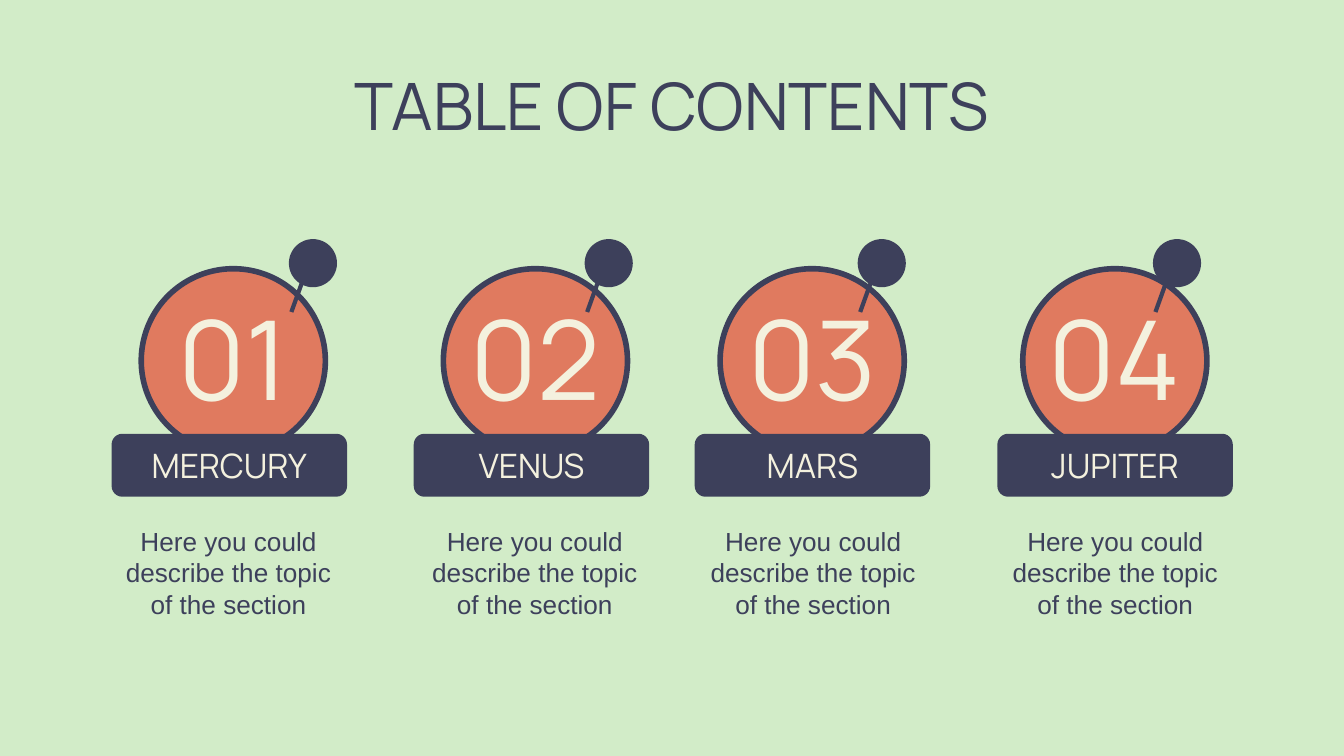
import pptx
import pptx.util
import pptx.dml.color
import pptx.enum.shapes
import pptx.enum.text

Cm = pptx.util.Cm
Pt = pptx.util.Pt
Shape = pptx.enum.shapes.MSO_SHAPE
Anchor = pptx.enum.text.MSO_ANCHOR

NAVY, ORANGE, CREAM, GREEN = "3D405B", "E07A5F", "F4F1DE", "D2ECC8"


def paint(target, color):
    """Fill a shape or background with a solid colour."""
    target.fill.solid()
    target.fill.fore_color.rgb = pptx.dml.color.RGBColor.from_string(color)


def write(box, text, size, font, color, anchor):
    """Put one centred paragraph into a box without margins."""
    frame = box.text_frame
    frame.word_wrap = True
    frame.auto_size = pptx.enum.text.MSO_AUTO_SIZE.NONE
    frame.vertical_anchor = anchor
    frame.margin_left = frame.margin_right = frame.margin_top = frame.margin_bottom = 0
    para = frame.paragraphs[0]
    para.text = text
    para.alignment = pptx.enum.text.PP_ALIGN.CENTER
    para.font.size = Pt(size)
    para.font.name = font
    para.font.color.rgb = pptx.dml.color.RGBColor.from_string(color)


deck = pptx.Presentation()
deck.slide_width, deck.slide_height = Cm(25.4), Cm(14.29)
page = deck.slides.add_slide(deck.slide_layouts[5])
paint(page.background, GREEN)

# Title
title = page.shapes.title
title.left, title.top, title.width, title.height = Cm(1.98), Cm(1.24), Cm(21.44), Cm(1.6)
write(title, "TABLE OF CONTENTS", 35, "Manrope", NAVY, Anchor.TOP)

# Sections: name, then left edges of plate, planet, moon and description
sections = [
    ("MERCURY", 2.11, 2.67, 5.46, 2.16),
    ("VENUS", 7.82, 8.38, 11.05, 7.95),
    ("MARS", 13.13, 13.61, 16.21, 13.21),
    ("JUPITER", 18.85, 19.33, 21.79, 18.92),
]
for number, (name, plate_left, planet_left, moon_left, text_left) in enumerate(sections, 1):
    # Planet, moon with its stick, and name plate
    planet = page.shapes.add_shape(
        Shape.OVAL, Cm(planet_left), Cm(5.08), Cm(3.48), Cm(3.48))
    numeral = page.shapes.add_textbox(
        Cm(planet_left - 0.42), Cm(4.85), Cm(4.32), Cm(3.78))
    stick = page.shapes.add_shape(
        Shape.RECTANGLE, Cm(moon_left + 0.24), Cm(4.57), Cm(0.08), Cm(1.37))
    moon = page.shapes.add_shape(
        Shape.OVAL, Cm(moon_left), Cm(4.52), Cm(0.91), Cm(0.91))
    plate = page.shapes.add_shape(
        Shape.ROUNDED_RECTANGLE, Cm(plate_left), Cm(8.2), Cm(4.45), Cm(1.19))
    for shape, color in ((planet, ORANGE), (stick, NAVY), (moon, NAVY), (plate, NAVY)):
        shape.shadow.inherit = False
        paint(shape, color)
        shape.line.fill.background()
    paint(planet.line, NAVY)
    planet.line.width = Pt(3)
    planet.rotation = 8.7
    stick.rotation = 19.8
    plate.adjustments[0] = 0.17

    # Wording
    write(numeral, f"{number:02}", 59, "Manrope", CREAM, Anchor.MIDDLE)
    write(plate, name, 18, "Manrope", CREAM, Anchor.MIDDLE)
    description = page.shapes.add_textbox(Cm(text_left), Cm(9.93), Cm(4.32), Cm(2.34))
    write(description, "Here you could describe the topic of the section",
          14, "Arial", NAVY, Anchor.TOP)

deck.save("out.pptx")
